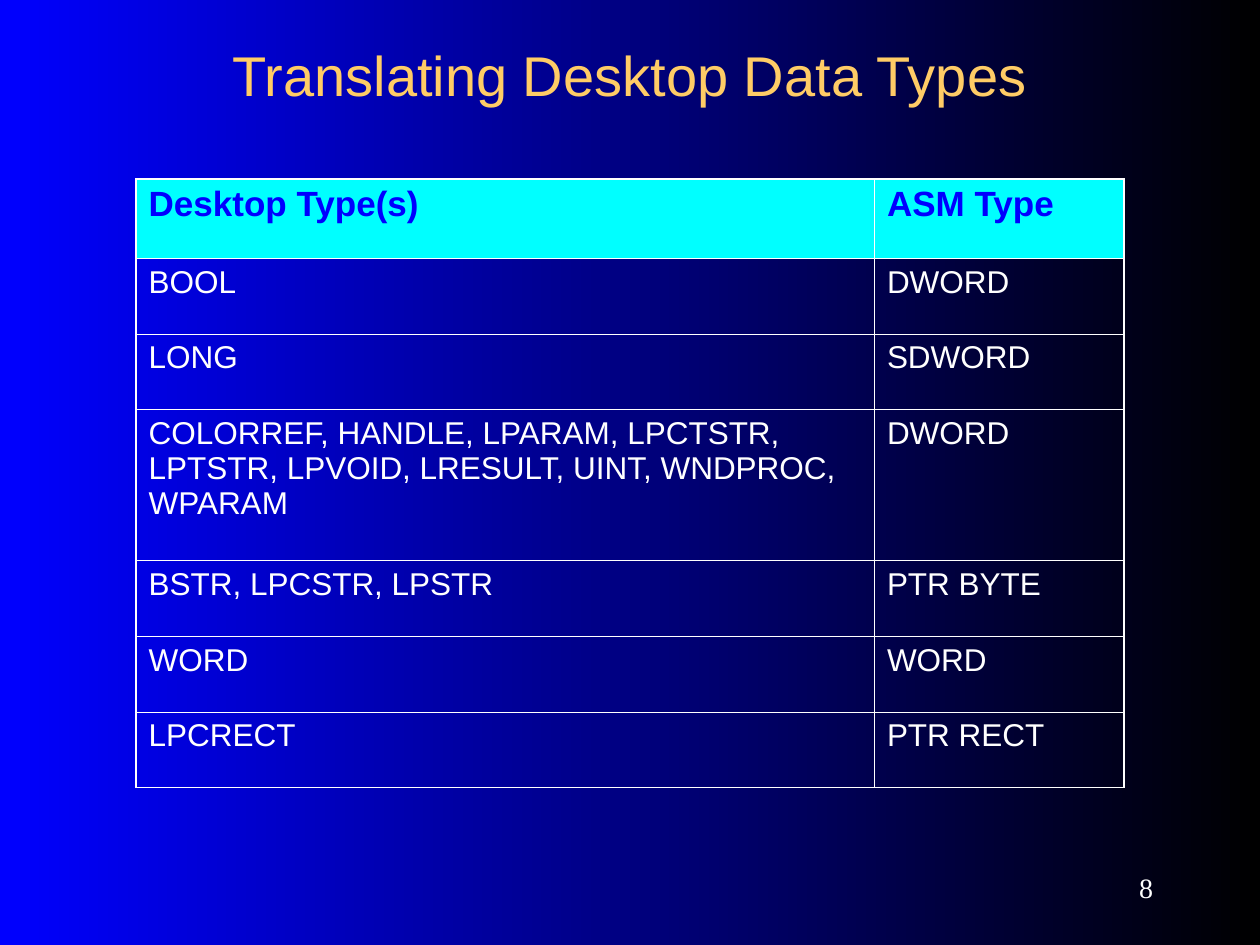
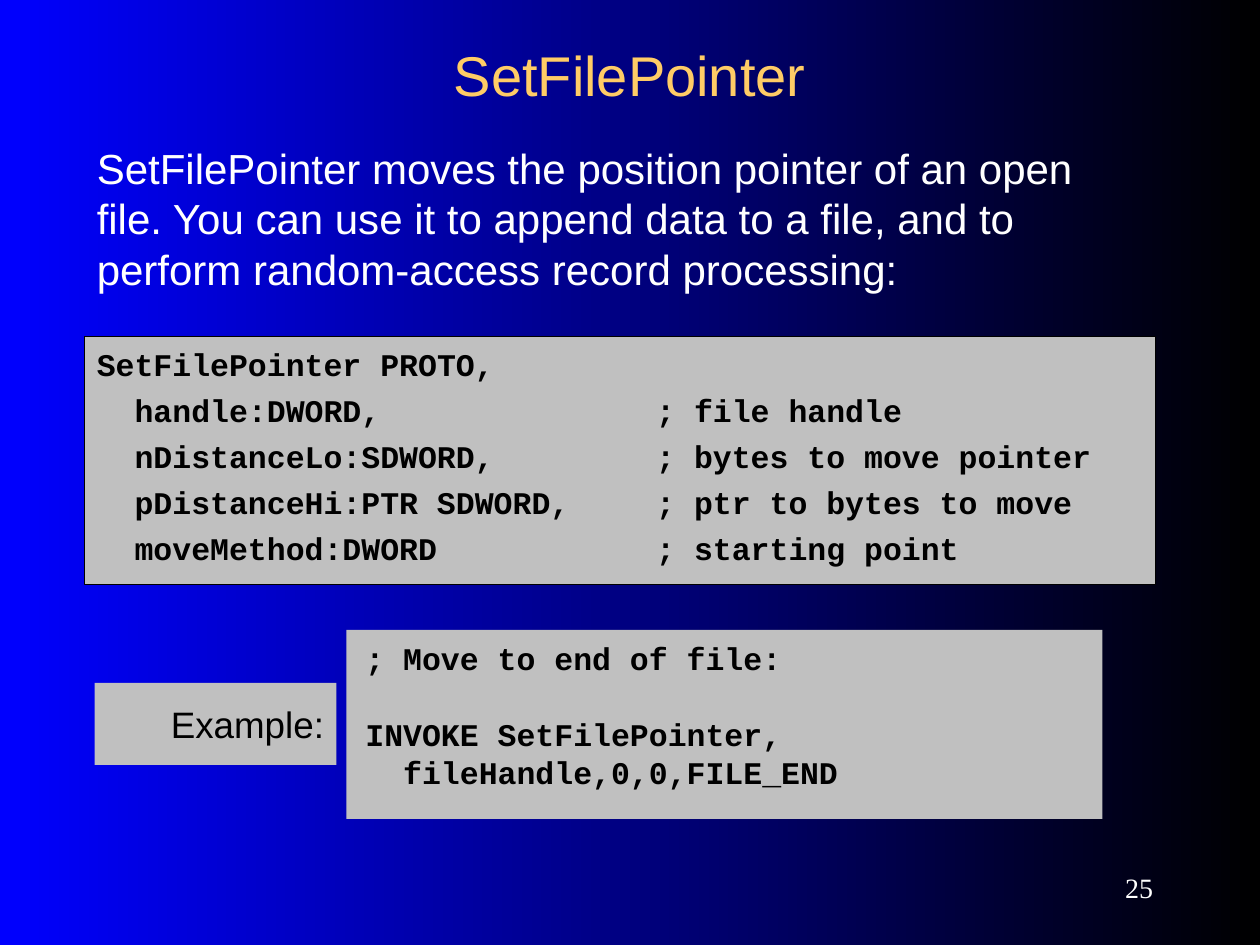
from dataclasses import dataclass

from lxml.etree import SubElement
from pptx import Presentation
from pptx.dml.color import RGBColor
from pptx.enum.shapes import MSO_SHAPE
from pptx.enum.text import MSO_ANCHOR as Anchor, MSO_AUTO_SIZE as AutoSize, PP_ALIGN as Align
from pptx.oxml.ns import qn
from pptx.util import Inches, Pt


@dataclass(frozen=True)
class TextStyle:
    font: str
    size: float
    color: str
    bold: bool = False
    before: float = 0
    spacing: float = 1.0
    align: Align = Align.LEFT


@dataclass(frozen=True)
class Theme:
    background: tuple = ("000000", "0000FF")
    panel: str = "C0C0C0"
    panel_line: str = "000000"
    header_fill: str = "00FFFF"
    border: str = "FFFFFF"
    outer_border: float = 1.08
    inner_border: float = 0.45
    title: TextStyle = TextStyle("Arial", 32, "FFCC66", align=Align.CENTER)
    body: TextStyle = TextStyle("Arial", 24, "FFFFFF", before=6)
    header: TextStyle = TextStyle("Arial", 20, "0000FF", bold=True, before=5)
    cell: TextStyle = TextStyle("Arial", 18, "FFFFFF", before=4.5)
    prototype: TextStyle = TextStyle("Courier New", 18, "000000", True, 11.2, 0.7)
    example: TextStyle = TextStyle("Courier New", 18, "000000", True, 11.2, 0.5)
    label: TextStyle = TextStyle("Arial", 21, "000000", before=13.1, align=Align.RIGHT)
    number: TextStyle = TextStyle("Times New Roman", 16, "FFFFFF", align=Align.RIGHT)


def rgb(value):
    return RGBColor.from_string(value)


class Deck:
    def __init__(self, theme):
        self.theme = theme
        self.presentation = Presentation()
        self.presentation.slide_width = Inches(10)
        self.presentation.slide_height = Inches(7.5)
        self.slide = None
        fill = self.presentation.slide_master.background.fill
        fill.gradient()
        fill.gradient_angle = 180
        for stop, color in zip(fill.gradient_stops, self.theme.background):
            stop.color.rgb = rgb(color)

    def add_slide(self, title, number):
        layout = self.presentation.slide_layouts[5]
        self.slide = self.presentation.slides.add_slide(layout)
        shape = self.slide.shapes.title
        shape.left, shape.top = Inches(0.75), Inches(0.25)
        shape.width, shape.height = Inches(8.5), Inches(0.67)
        self.fill_text(shape.text_frame, title, self.theme.title, anchor=Anchor.MIDDLE)
        self.text(number, (8.17, 6.83, 1.08, 0.42), self.theme.number, Anchor.MIDDLE)

    def fill_text(self, frame, text, style, margins=(0.1, 0.05), anchor=Anchor.TOP, tabs=()):
        frame.text = text
        frame.word_wrap = True
        frame.auto_size = AutoSize.NONE
        frame.vertical_anchor = anchor
        frame.margin_left = frame.margin_right = Inches(margins[0])
        frame.margin_top = frame.margin_bottom = Inches(margins[1])
        for paragraph in frame.paragraphs:
            self.style_paragraph(paragraph, style, tabs)

    def style_paragraph(self, paragraph, style, tabs=()):
        paragraph.alignment = style.align
        paragraph.line_spacing = style.spacing
        paragraph.space_before = Pt(style.before)
        for run in paragraph.runs:
            run.font.name = style.font
            run.font.size = Pt(style.size)
            run.font.bold = style.bold
            run.font.color.rgb = rgb(style.color)
        if tabs:
            tab_list = SubElement(paragraph._p.get_or_add_pPr(), qn("a:tabLst"))
            for position in tabs:
                SubElement(tab_list, qn("a:tab"), pos=str(Inches(position)), algn="l")

    def text(self, text, box, style, anchor=Anchor.TOP):
        shape = self.slide.shapes.add_textbox(*map(Inches, box))
        self.fill_text(shape.text_frame, text, style, anchor=anchor)

    def panel(self, text, box, style, margins, tabs=(), outlined=False):
        shape = self.slide.shapes.add_shape(MSO_SHAPE.RECTANGLE, *map(Inches, box))
        shape.shadow.inherit = False
        shape.fill.solid()
        shape.fill.fore_color.rgb = rgb(self.theme.panel)
        if outlined:
            shape.line.color.rgb = rgb(self.theme.panel_line)
            shape.line.width = Pt(0.75)
        else:
            shape.line.fill.background()
        self.fill_text(shape.text_frame, text, style, margins, tabs=tabs)
        return shape

    def group(self, *shapes):
        self.slide.shapes.add_group_shape(shapes)

    def table(self, rows, left, top, widths, heights):
        frame = self.slide.shapes.add_table(
            len(rows), len(widths), Inches(left), Inches(top),
            Inches(sum(widths)), Inches(sum(heights)))
        table = frame.table
        table.horz_banding = False
        table.first_row = False
        for column, width in zip(table.columns, widths):
            column.width = Inches(width)
        last_row, last_column = len(rows) - 1, len(widths) - 1
        for i, values in enumerate(rows):
            table.rows[i].height = Inches(heights[i])
            for j, value in enumerate(values):
                cell = table.cell(i, j)
                cell.text = value
                style = self.theme.cell if i else self.theme.header
                self.style_paragraph(cell.text_frame.paragraphs[0], style)
                self.borders(cell, {"L": j == 0, "R": j == last_column,
                                    "T": i == 0, "B": i == last_row})
                if i:
                    cell.fill.background()
                else:
                    cell.fill.solid()
                    cell.fill.fore_color.rgb = rgb(self.theme.header_fill)

    def borders(self, cell, sides):
        properties = cell._tc.get_or_add_tcPr()
        for side, is_outer in sides.items():
            width = self.theme.outer_border if is_outer else self.theme.inner_border
            line = SubElement(properties, qn(f"a:ln{side}"), w=str(Pt(width)))
            fill = SubElement(line, qn("a:solidFill"))
            SubElement(fill, qn("a:srgbClr"), val=self.theme.border)


def add_data_types(deck):
    deck.add_slide("Translating Desktop Data Types", "8")
    rows = [
        ("Desktop Type(s)", "ASM Type"),
        ("BOOL", "DWORD"),
        ("LONG", "SDWORD"),
        ("COLORREF, HANDLE, LPARAM, LPCTSTR, LPTSTR, LPVOID, "
         "LRESULT, UINT, WNDPROC, WPARAM", "DWORD"),
        ("BSTR, LPCSTR, LPSTR", "PTR BYTE"),
        ("WORD", "WORD"),
        ("LPCRECT", "PTR RECT"),
    ]
    heights = [0.63, 0.6, 0.6, 1.2, 0.6, 0.6, 0.6]
    deck.table(rows, 1.08, 1.42, [5.86, 1.98], heights)


def add_set_file_pointer(deck):
    theme = deck.theme
    code_indent = 0.3
    deck.add_slide("SetFilePointer", "25")
    deck.text("SetFilePointer moves the position pointer of an open file. "
              "You can use it to append data to a file, and to perform "
              "random-access record processing:", (0.67, 1.08, 8.5, 1.5), theme.body)
    parameters = [
        ("handle:DWORD,", "file handle"),
        ("nDistanceLo:SDWORD,", "bytes to move pointer"),
        ("pDistanceHi:PTR SDWORD,", "ptr to bytes to move"),
        ("moveMethod:DWORD", "starting point"),
    ]
    lines = ["SetFilePointer PROTO,"]
    lines += [f"\t{name}\t; {remark}" for name, remark in parameters]
    deck.panel("\n".join(lines), (0.67, 2.67, 8.5, 1.97), theme.prototype,
               (0.1, 0.15), (code_indent, 4.44), outlined=True)
    example = deck.panel(
        "; Move to end of file:\nINVOKE SetFilePointer,\n\tfileHandle,0,0,FILE_END",
        (2.75, 5, 6, 1.5), theme.example, (0.15, 0.2), (code_indent,))
    example.text_frame.paragraphs[1].space_before = Pt(32.6)
    label = deck.panel("Example:", (0.75, 5.42, 1.92, 0.65), theme.label, (0.1, 0.15))
    deck.group(example, label)


def main():
    deck = Deck(Theme())
    add_data_types(deck)
    add_set_file_pointer(deck)
    deck.presentation.save("out.pptx")


if __name__ == "__main__":
    main()
